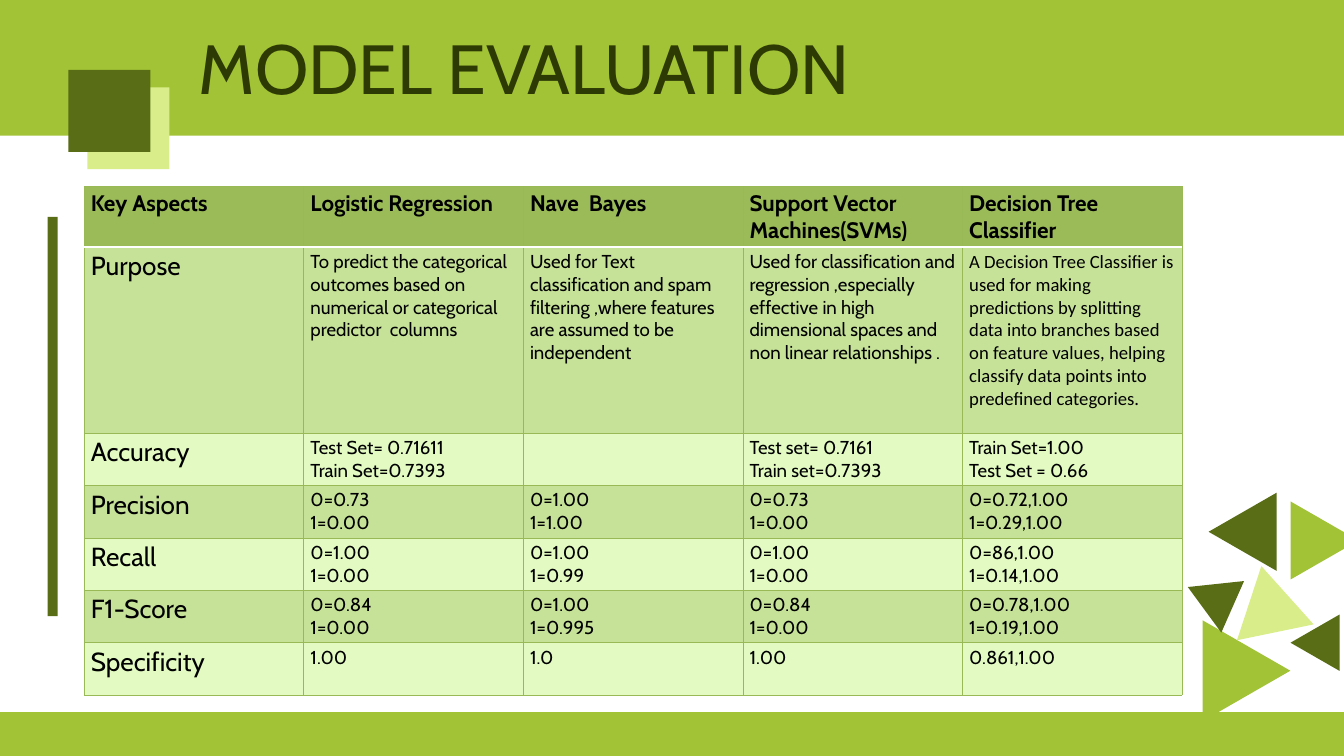
from lxml import etree
from pptx import Presentation
from pptx.dml.color import RGBColor
from pptx.enum.shapes import MSO_SHAPE
from pptx.oxml.ns import qn
from pptx.util import Cm, Pt

RECT = MSO_SHAPE.RECTANGLE
TRIANGLE = MSO_SHAPE.ISOSCELES_TRIANGLE

LIME = RGBColor(0xA2, 0xC3, 0x36)
OLIVE = RGBColor(0x58, 0x6D, 0x16)
PALE = RGBColor(0xD9, 0xEE, 0x8A)
DARK = RGBColor(0x2D, 0x3A, 0x04)
BLACK = RGBColor(0, 0, 0)
WHITE = RGBColor(0xFF, 0xFF, 0xFF)
HEAD = RGBColor(0x9B, 0xBB, 0x59)
BAND = RGBColor(0xC6, 0xE1, 0x98)
LIGHT = RGBColor(0xE3, 0xFB, 0xC2)
GRID = RGBColor(0x98, 0xB9, 0x55)

RECTS = [
    (-0.56, -0.48, 51.92, 5.61, LIME),
    (-0.38, 26.92, 51.54, 2.08, LIME),
    (3.3, 3.3, 3.1, 3.1, PALE),
    (2.59, 2.64, 3.1, 3.1, OLIVE),
    (1.8, 8.2, 0.38, 15.09, OLIVE),
]
TRIANGLES = [
    (45.21, 23.7, 3.81, 90, LIME),
    (48.59, 19.15, 2.95, 90, LIME),
    (45.49, 18.82, 2.95, 270, OLIVE),
    (44.68, 21.64, 2.13, 293.8, OLIVE),
    (48.64, 23.37, 2.13, 270, OLIVE),
    (46.96, 21.92, 2.95, 108.2, PALE),
]
ROWS = [
    ("Key Aspects", "Logistic Regression", "Nave  Bayes",
     "Support Vector Machines(SVMs)", "Decision Tree Classifier"),
    ("Purpose",
     "To predict the categorical outcomes based on numerical or categorical predictor  columns",
     "Used for Text classification and spam filtering ,where features are assumed to be independent",
     "Used for classification and regression ,especially effective in high dimensional spaces "
     "and non linear relationships .",
     "A Decision Tree Classifier is used for making predictions by splitting data into branches "
     "based on feature values, helping classify data points into predefined categories."),
    ("Accuracy", "Test Set= 0.71611\nTrain Set=0.7393", "",
     "Test set= 0.7161\nTrain set=0.7393", "Train Set=1.00\nTest Set = 0.66"),
    ("Precision", "0=0.73\n1=0.00", "0=1.00\n1=1.00", "0=0.73\n1=0.00", "0=0.72,1.00\n1=0.29,1.00"),
    ("Recall", "0=1.00\n1=0.00", "0=1.00\n1=0.99", "0=1.00\n1=0.00", "0=86,1.00\n1=0.14,1.00"),
    ("F1-Score", "0=0.84\n1=0.00", "0=1.00\n1=0.995", "0=0.84\n1=0.00", "0=0.78,1.00\n1=0.19,1.00"),
    ("Specificity", "1.00", "1.0", "1.00", "0.861,1.00"),
]
HEIGHTS = [2.27, 7.03] + [1.98] * 5
WIDTH = 8.3


def add_block(slide, kind, left, top, width, height, color, turn=0):
    """Add a filled preset shape without outline."""
    block = slide.shapes.add_shape(kind, Cm(left), Cm(top), Cm(width), Cm(height))
    block.rotation = turn
    block.shadow.inherit = False
    block.fill.solid()
    block.fill.fore_color.rgb = color
    block.line.fill.background()


def set_font(para, size, color, bold=False, name="Cabin"):
    """Set the font of a whole paragraph."""
    font = para.font
    font.name, font.size, font.bold = name, Pt(size), bold
    font.color.rgb = color


def add_title(slide):
    """Add the slide title."""
    frame = slide.shapes.add_textbox(Cm(7.52), Cm(0.43), Cm(27.66), Cm(3.56)).text_frame
    frame.word_wrap = True
    frame.margin_left = frame.margin_right = frame.margin_top = frame.margin_bottom = 0
    para = frame.paragraphs[0]
    para.text = "MODEL EVALUATION"
    para.line_spacing = Pt(104.3)
    set_font(para, 74.5, DARK)


def add_edge(cell, side, color, width):
    """Draw one border of a table cell."""
    props = cell._tc.get_or_add_tcPr()
    line = etree.SubElement(props, qn("a:ln" + side), w=str(Pt(width)))
    fill = etree.SubElement(line, qn("a:solidFill"))
    etree.SubElement(fill, qn("a:srgbClr"), val=str(color))


def fill_cell(cell, text, row, col):
    """Write and style one table cell."""
    for side in "LRTB":
        split = (row, side) in ((0, "B"), (1, "T"))
        add_edge(cell, side, WHITE if split else GRID, 2 if split else 0.75)
    cell.fill.solid()
    cell.fill.fore_color.rgb = HEAD if row == 0 else BAND if row % 2 else LIGHT
    cell.text = text
    size = 24 if row == 0 else 28 if col == 0 else 20
    name = "Calibri" if (row, col) == (1, 4) else "Cabin"
    for para in cell.text_frame.paragraphs:
        set_font(para, size, BLACK, row == 0, name)


def add_scores(slide):
    """Add the table that compares the models."""
    count = len(ROWS[0])
    table = slide.shapes.add_table(
        len(ROWS), count, Cm(3.18), Cm(7.06), Cm(WIDTH * count), Cm(sum(HEIGHTS))).table
    for column in table.columns:
        column.width = Cm(WIDTH)
    for row, texts in enumerate(ROWS):
        table.rows[row].height = Cm(HEIGHTS[row])
        for col, text in enumerate(texts):
            fill_cell(table.cell(row, col), text, row, col)


def main():
    """Build the slide and save it."""
    deck = Presentation()
    deck.slide_width, deck.slide_height = Cm(50.8), Cm(28.58)
    slide = deck.slides.add_slide(deck.slide_layouts[6])
    for left, top, width, height, color in RECTS:
        add_block(slide, RECT, left, top, width, height, color)
    add_title(slide)
    for left, top, side, turn, color in TRIANGLES:
        add_block(slide, TRIANGLE, left, top, side, side * 0.87, color, turn)
    add_scores(slide)
    deck.save("out.pptx")


if __name__ == "__main__":
    main()
